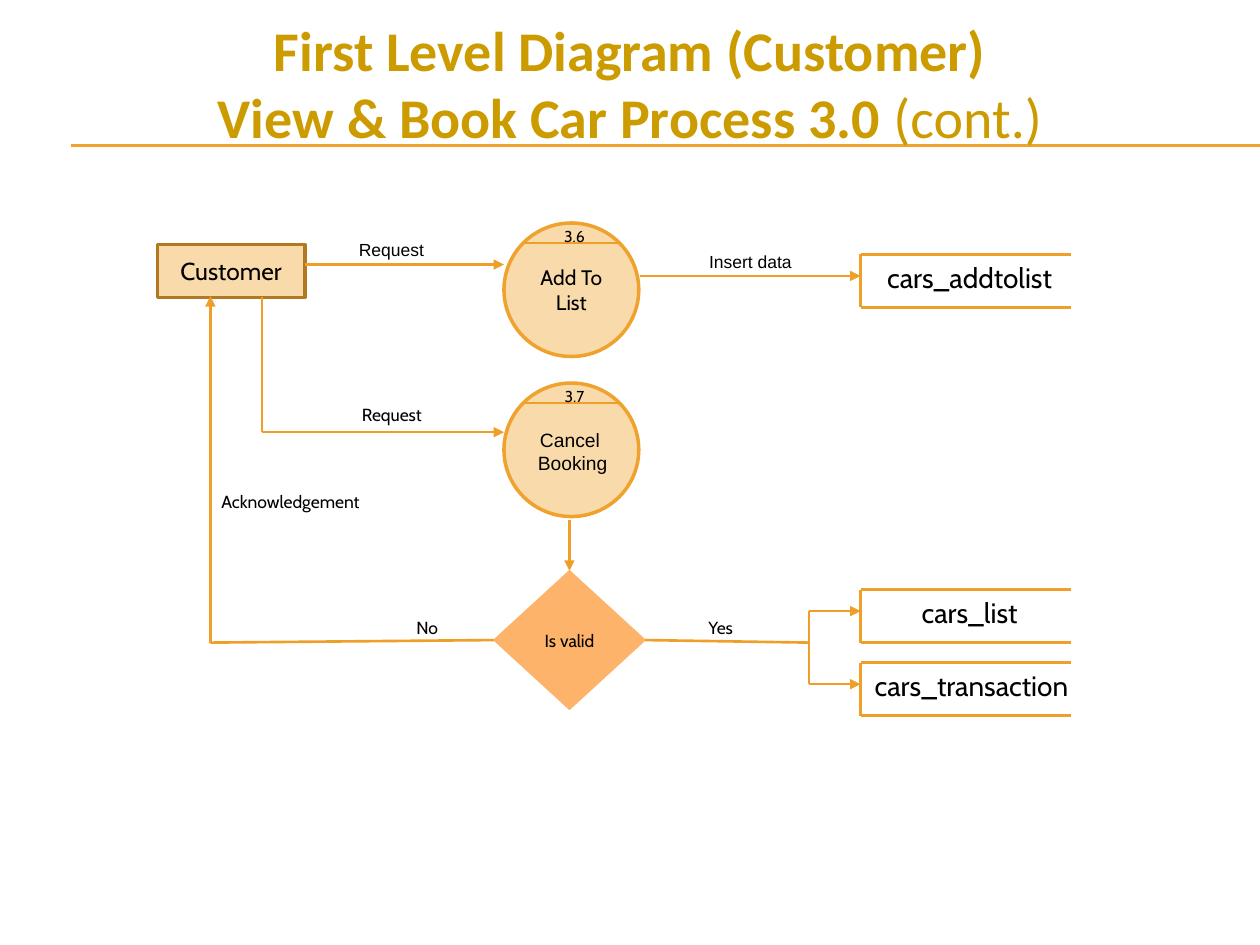
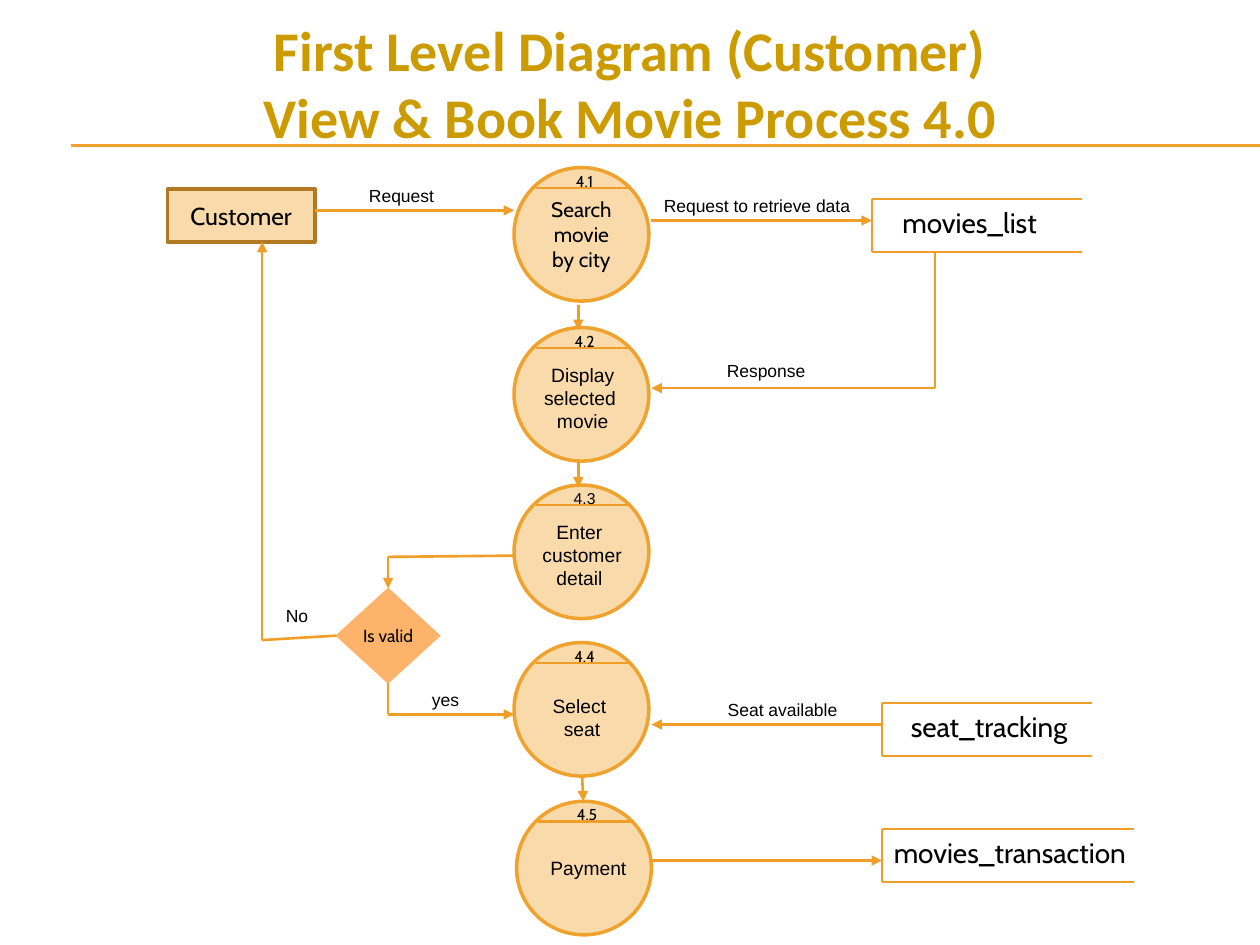
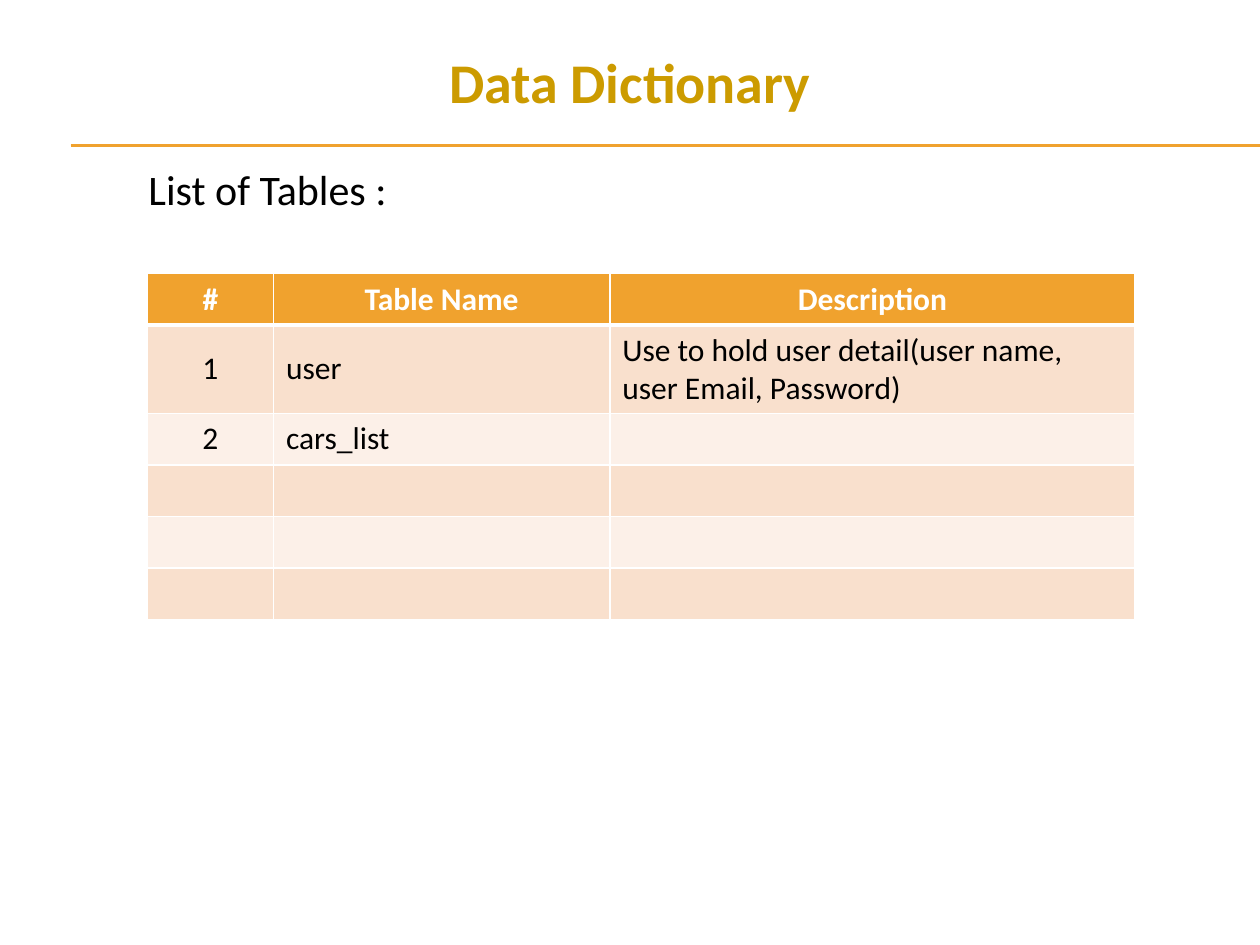
"""Build two booking data-flow diagrams and a data dictionary slide."""
from lxml import etree
from pptx import Presentation
from pptx.dml.color import RGBColor
from pptx.enum.shapes import MSO_CONNECTOR, MSO_SHAPE
from pptx.enum.text import MSO_ANCHOR, MSO_AUTO_SIZE, PP_ALIGN
from pptx.oxml.ns import qn
from pptx.util import Inches, Pt

STRAIGHT = MSO_CONNECTOR.STRAIGHT
RECTANGLE, OVAL = MSO_SHAPE.RECTANGLE, MSO_SHAPE.OVAL
DIAMOND = MSO_SHAPE.FLOWCHART_DECISION
LEFT, CENTER = PP_ALIGN.LEFT, PP_ALIGN.CENTER
TOP, MIDDLE = MSO_ANCHOR.TOP, MSO_ANCHOR.MIDDLE
NO_AUTOFIT = MSO_AUTO_SIZE.NONE

COLORS = {
    "title": "CC9B00", "rule": "F0A22E", "flow": "EF9F28",
    "entity": "F9DAAB", "entity_edge": "B27822", "decision": "FDB46A",
    "text": "000000", "white": "FFFFFF",
    "band_dark": "F9E0CD", "band_light": "FCF0E8",
}
STYLES = {
    "title": ("Calibri", 32, CENTER, "title"),
    "heading": ("Calibri", 24, LEFT, "text"),
    "entity": ("Cabin", 14, CENTER, "text"),
    "process": ("Cabin", 12, CENTER, "text"),
    "process arial": ("Arial", 11, CENTER, "text"),
    "number": ("Cabin", 9, CENTER, "text"),
    "number arial": ("Arial", 9, CENTER, "text"),
    "store": ("Cabin", 16, CENTER, "text"),
    "flow": ("Cabin", 10, CENTER, "text"),
    "flow arial": ("Arial", 10, CENTER, "text"),
    "flow left": ("Arial", 10, LEFT, "text"),
    "table header": ("Calibri", 18, CENTER, "white"),
    "table number": ("Calibri", 18, CENTER, "text"),
    "table text": ("Calibri", 18, LEFT, "text"),
}

SIDE_TOP, SIDE_LEFT, SIDE_BOTTOM, SIDE_RIGHT = range(4)
ENTITY_SIZE = (1.17, 0.42)
PROCESS_SIZE = (1.07, 1.06)
STORE_HEIGHT = 0.42

DIAGRAMS = [
    {
        "title": "First Level Diagram (Customer)\nView & Book Car Process 3.0 ",
        "suffix": "(cont.)",
        "customer": (1.25, 1.94),
        "processes": [
            (4, 1.77, "3.6", "number", "Add To List"),
            (4, 3.04, "3.7", "number", ""),
        ],
        "decision": (3.92, 4.53, 1.2, 1.1),
        "stores": [
            ("cars_addtolist", 6.83, 2.02, 1.67, 6.92, 1.55),
            ("cars_list", 6.83, 4.68, 1.67, 6.92, 1.55),
            ("cars_transaction", 6.83, 5.26, 1.67, 6.75, 1.92),
        ],
        "flows": [
            [(2.42, 2.1), (4, 2.1)],
            [(5.08, 2.19), (6.83, 2.19)],
            [(2.08, 2.36), (2.08, 3.43), (4, 3.43)],
            [(4.52, 4.13), SIDE_TOP],
            [SIDE_LEFT, (1.67, 5.1), (1.67, 2.35)],
            [SIDE_RIGHT, (6.42, 5.1), (6.42, 4.85), (6.83, 4.85)],
            [(6.42, 5.1), (6.42, 5.43), (6.83, 5.43)],
        ],
        "labels": [
            ("Cancel \nBooking", 3.92, 3.35, 1.25, "process arial"),
            ("Request", 2.75, 1.85, 0.75, "flow left"),
            ("Insert data", 5.08, 1.94, 1.75, "flow arial"),
            ("Request", 2.72, 3.16, 0.78, "flow"),
            ("Acknowledgement", 1.58, 3.85, 1.45, "flow"),
            ("No", 3, 4.85, 0.78, "flow"),
            ("Yes", 5.33, 4.85, 0.78, "flow"),
        ],
    },
    {
        "title": "First Level Diagram (Customer)\nView & Book Movie Process 4.0",
        "suffix": "",
        "customer": (1.33, 1.5),
        "processes": [
            (4.08, 1.33, "4.1", "number", "Search movie by city"),
            (4.08, 2.6, "4.2", "number", ""),
            (4.08, 3.85, "4.3", "number arial", ""),
            (4.08, 5.1, "4.4", "number", ""),
            (4.1, 6.36, "4.5", "number", ""),
        ],
        "decision": (2.67, 4.67, 0.82, 0.75),
        "stores": [
            ("movies_list", 6.92, 1.58, 1.67, 6.92, 1.55),
            ("seat_tracking", 7, 5.58, 1.67, 6.95, 1.8),
            ("movies_transaction", 7, 6.58, 2, 6.95, 2.13),
        ],
        "flows": [
            [(2.5, 1.67), (4.08, 1.67)],
            [(5.17, 1.75), (6.92, 1.75)],
            [(7.42, 2), (7.42, 3.08), (5.17, 3.08)],
            [(4.59, 2.42), (4.59, 2.62)],
            [(4.59, 3.67), (4.59, 3.87)],
            [(4.08, 4.41), (3.08, 4.42), SIDE_TOP],
            [SIDE_LEFT, (2.08, 5.08), (2.08, 1.92)],
            [SIDE_BOTTOM, (3.08, 5.67), (4.08, 5.67)],
            [(7, 5.75), (5.17, 5.75)],
            [(4.62, 6.16), (4.63, 6.36)],
            [(5.17, 6.83), (7, 6.83)],
        ],
        "labels": [
            ("Display selected \nmovie", 4, 2.83, 1.25, "process arial"),
            ("Enter \ncustomer\ndetail ", 4.08, 4.08, 1.08, "process arial"),
            ("Select \nseat", 4.08, 5.46, 1.08, "process arial"),
            ("Payment", 4.17, 6.75, 1, "process arial"),
            ("Request", 2.83, 1.42, 0.75, "flow left"),
            ("Request to retrieve data", 5.17, 1.5, 1.75, "flow left"),
            ("Response", 5.67, 2.81, 0.83, "flow left"),
            ("No", 2.17, 4.75, 0.58, "flow left"),
            ("yes", 3.33, 5.42, 0.58, "flow left"),
            ("Seat available", 5.67, 5.5, 1.08, "flow arial"),
        ],
    },
]

TABLE_COLUMNS = [1, 2.67, 4.17]
TABLE_ROW_HEIGHT = 0.41
TABLE_ROWS = [
    ("#", "Table Name", "Description"),
    ("1", "user", "Use to hold user detail(user name, user Email, Password)"),
    ("2", "cars_list", ""),
    ("", "", ""),
    ("", "", ""),
    ("", "", ""),
]


def color(name):
    return RGBColor.from_string(COLORS[name])


def write(text_frame, text, style, bold=False):
    font_name, size, alignment, color_name = STYLES[style]
    text_frame.text = text
    for paragraph in text_frame.paragraphs:
        paragraph.alignment = alignment
        for font in [paragraph.font] + [run.font for run in paragraph.runs]:
            font.name, font.size, font.bold = font_name, Pt(size), bold
            font.color.rgb = color(color_name)


def add_label(slide, text, left, top, width, style):
    height = 0.1 + STYLES[style][1] * 1.2 / 72 * (text.count("\n") + 1)
    box = slide.shapes.add_textbox(*map(Inches, (left, top, width, height)))
    box.text_frame.word_wrap = True
    write(box.text_frame, text, style)


def add_node(slide, kind, bounds, fill, edge, weight, text="", style="flow"):
    shape = slide.shapes.add_shape(kind, *map(Inches, bounds))
    shape.shadow.inherit = False
    shape.fill.solid()
    shape.fill.fore_color.rgb = color(fill)
    shape.line.color.rgb = color(edge)
    shape.line.width = Pt(weight)
    if text:
        shape.text_frame.vertical_anchor = MIDDLE
        write(shape.text_frame, text, style)
    return shape


def add_line(slide, start, end, weight=1.5, color_name="flow", arrow=False):
    line = slide.shapes.add_connector(STRAIGHT, *map(Inches, (*start, *end)))
    line.line.color.rgb = color(color_name)
    line.line.width = Pt(weight)
    properties = line.element.spPr
    if arrow:
        etree.SubElement(properties.find(qn("a:ln")), qn("a:tailEnd"), type="triangle")
    etree.SubElement(properties, qn("a:effectLst"))
    return line


def add_process(slide, left, top, number, number_style, text):
    add_node(slide, OVAL, (left, top, *PROCESS_SIZE), "entity", "rule", 2, text, "process")
    add_line(slide, (left + 0.17, top + 0.16), (left + 0.93, top + 0.16), 1.25)
    add_label(slide, number, left + 0.33, top - 0.02, 0.46, number_style)


def add_store(slide, name, left, top, width, name_left, name_width):
    right, bottom = left + width, top + STORE_HEIGHT
    add_line(slide, (left, top), (left, bottom))
    for edge in (top, bottom):
        add_line(slide, (left, edge), (right, edge))
    add_label(slide, name, name_left, top, name_width, "store")


def add_flow(slide, stops, decision, bounds):
    left, top, width, height = bounds
    sides = [
        (left + width / 2, top), (left, top + height / 2),
        (left + width / 2, top + height), (left + width, top + height / 2),
    ]
    points = [sides[stop] if isinstance(stop, int) else stop for stop in stops]
    last = len(points) - 2
    for index, (start, end) in enumerate(zip(points, points[1:])):
        line = add_line(slide, start, end, arrow=index == last)
        if isinstance(stops[index], int):
            line.begin_connect(decision, stops[index])
        if isinstance(stops[index + 1], int):
            line.end_connect(decision, stops[index + 1])


def add_title_slide(presentation, text, top, height):
    slide = presentation.slides.add_slide(presentation.slide_layouts[5])
    title = slide.shapes.title
    title.left, title.top, title.width, title.height = map(Inches, (1, top, 8, height))
    title.text_frame.auto_size = NO_AUTOFIT
    title.text_frame.vertical_anchor = TOP
    write(title.text_frame, text, "title", bold=True)
    return slide


def add_layout_rules(slide):
    layout_title = slide.slide_layout.placeholders[0].element
    for height in (1.15, 1.16):
        rule = add_line(slide, (0.56, height), (10, height), 0.75, "rule")
        layout_title.addprevious(rule.element)


def add_diagram(presentation, diagram):
    slide = add_title_slide(presentation, diagram["title"], 0.07, 1.18)
    if diagram["suffix"]:
        run = slide.shapes.title.text_frame.paragraphs[-1].add_run()
        run.text = diagram["suffix"]
        font_name, size, _, color_name = STYLES["title"]
        run.font.name, run.font.size, run.font.bold = font_name, Pt(size), False
        run.font.color.rgb = color(color_name)
    add_node(slide, RECTANGLE, (*diagram["customer"], *ENTITY_SIZE),
             "entity", "entity_edge", 2, "Customer", "entity")
    for process in diagram["processes"]:
        add_process(slide, *process)
    bounds = diagram["decision"]
    decision = add_node(slide, DIAMOND, bounds, "decision", "decision", 0.75, "Is valid")
    decision.text_frame.word_wrap = False
    for store in diagram["stores"]:
        add_store(slide, *store)
    for stops in diagram["flows"]:
        add_flow(slide, stops, decision, bounds)
    for label in diagram["labels"]:
        add_label(slide, *label)


def set_borders(cell, bottom_weight):
    properties = cell._tc.get_or_add_tcPr()
    for side, weight in (("L", 1), ("R", 1), ("T", 1), ("B", bottom_weight)):
        border = etree.SubElement(properties, qn(f"a:ln{side}"), w=str(Pt(weight)))
        fill = etree.SubElement(border, qn("a:solidFill"))
        etree.SubElement(fill, qn("a:srgbClr"), val=COLORS["white"])


def add_dictionary(presentation):
    slide = add_title_slide(presentation, "Data Dictionary", 0.33, 0.64)
    add_label(slide, "List of Tables :", 1.08, 1.25, 5.42, "heading")
    height = TABLE_ROW_HEIGHT * len(TABLE_ROWS)
    bounds = map(Inches, (1.17, 2.17, sum(TABLE_COLUMNS), height))
    table = slide.shapes.add_table(len(TABLE_ROWS), len(TABLE_COLUMNS), *bounds).table
    for column, width in zip(table.columns, TABLE_COLUMNS):
        column.width = Inches(width)
    for row_index, values in enumerate(TABLE_ROWS):
        table.rows[row_index].height = Inches(TABLE_ROW_HEIGHT)
        header = row_index == 0
        band = "rule" if header else "band_dark" if row_index % 2 else "band_light"
        for column_index, value in enumerate(values):
            cell = table.cell(row_index, column_index)
            body_style = "table text" if column_index else "table number"
            write(cell.text_frame, value, "table header" if header else body_style, header)
            cell.vertical_anchor = MIDDLE
            set_borders(cell, 3 if header else 1)
            cell.fill.solid()
            cell.fill.fore_color.rgb = color(band)


def main():
    presentation = Presentation()
    presentation.slide_width, presentation.slide_height = Inches(10), Inches(7.5)
    for diagram in DIAGRAMS:
        add_diagram(presentation, diagram)
    add_dictionary(presentation)
    add_layout_rules(presentation.slides[0])
    presentation.save("out.pptx")


if __name__ == "__main__":
    main()
